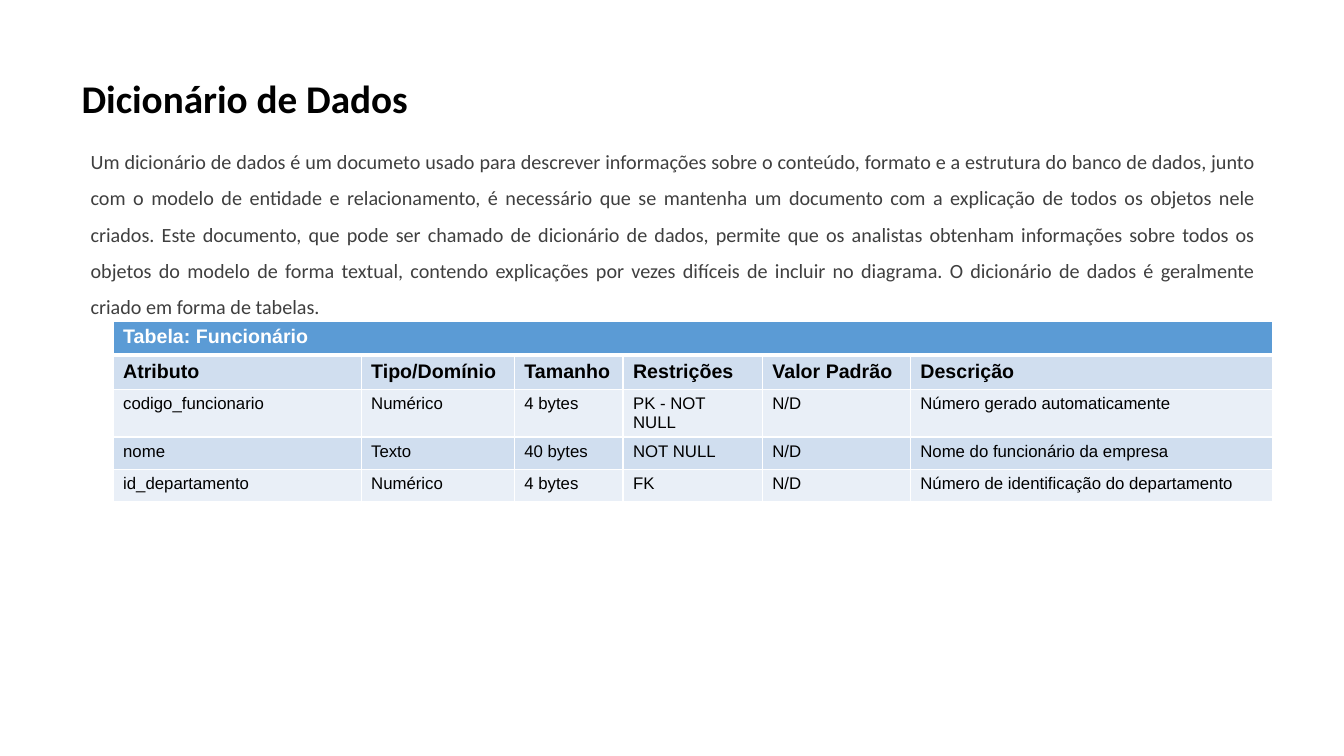
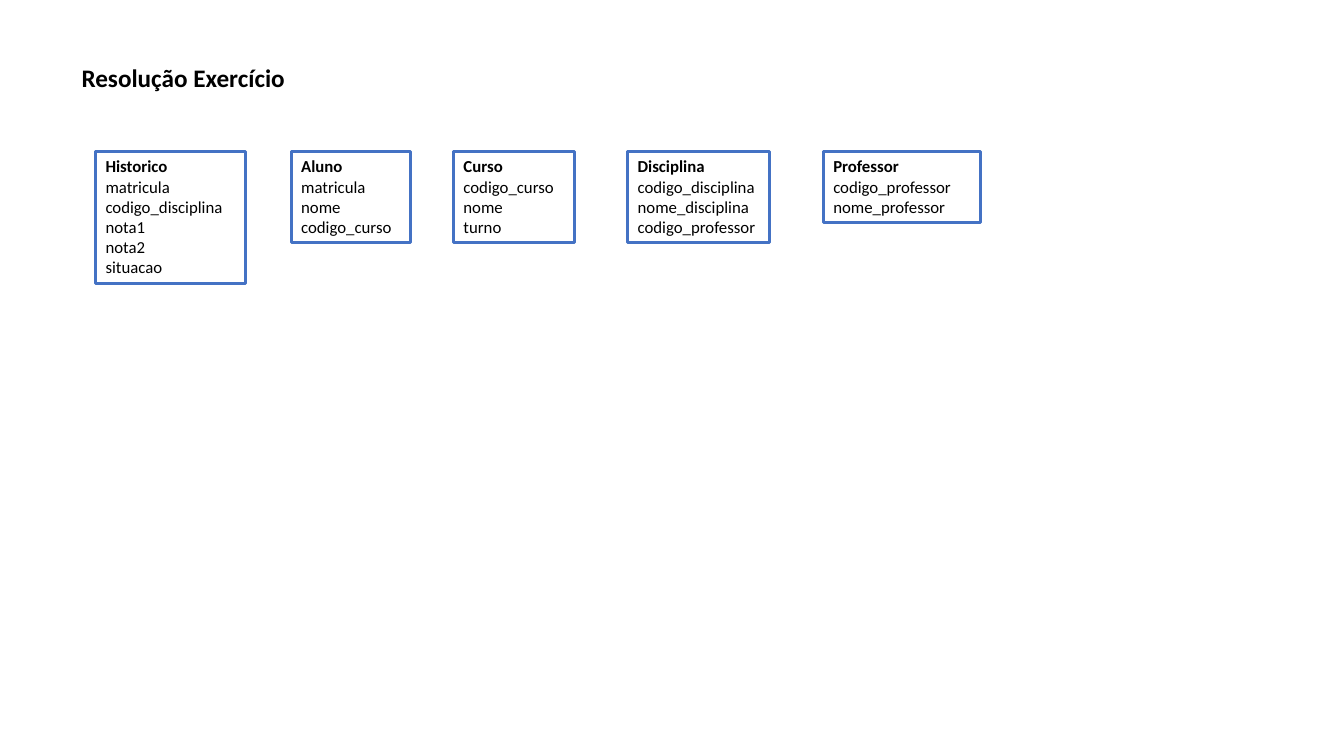
import lxml.etree
import pptx
import pptx.dml.color
import pptx.enum.shapes
import pptx.enum.text
import pptx.oxml.ns
import pptx.util

Cm = pptx.util.Cm
Pt = pptx.util.Pt
RGBColor = pptx.dml.color.RGBColor
Align = pptx.enum.text.PP_ALIGN
Anchor = pptx.enum.text.MSO_ANCHOR
AutoSize = pptx.enum.text.MSO_AUTO_SIZE
qn = pptx.oxml.ns.qn

BLACK = RGBColor(0x00, 0x00, 0x00)
WHITE = RGBColor(0xFF, 0xFF, 0xFF)
GRAY = RGBColor(0x3F, 0x3F, 0x3F)
BOX_BLUE = RGBColor(0x44, 0x72, 0xC4)
HEADER_BLUE = RGBColor(0x5B, 0x9B, 0xD5)
BAND_DARK = RGBColor(0xD0, 0xDE, 0xEF)
BAND_LIGHT = RGBColor(0xE9, 0xEF, 0xF7)

TITLE_AND_BODY = 1
TITLE_ONLY = 5

DESCRIPTION = (
    "Um dicionário de dados é um documeto usado para descrever informações sobre o "
    "conteúdo, formato e a estrutura do banco de dados, junto com o modelo de entidade e "
    "relacionamento, é necessário que se mantenha um documento com a explicação de todos "
    "os objetos nele criados. Este documento, que pode ser chamado de dicionário de dados, "
    "permite que os analistas obtenham informações sobre todos os objetos do modelo de "
    "forma textual, contendo explicações por vezes difíceis de incluir no diagrama. "
    "O dicionário de dados é geralmente criado em forma de tabelas."
)
COLUMN_WIDTHS = [6.25, 3.86, 2.74, 3.51, 3.73, 9.12]
TABLE_ROWS = [
    ["Tabela: Funcionário"],
    ["Atributo", "Tipo/Domínio", "Tamanho", "Restrições", "Valor Padrão", "Descrição"],
    ["codigo_funcionario", "Numérico", "4 bytes", "PK - NOT NULL", "N/D",
     "Número gerado automaticamente"],
    ["nome", "Texto", "40 bytes", "NOT NULL", "N/D", "Nome do funcionário da empresa"],
    ["id_departamento", "Numérico", "4 bytes", "FK", "N/D",
     "Número de identificação do departamento"],
]
ENTITIES = [
    (2.41, 3.78, ["Historico", "matricula", "codigo_disciplina", "nota1", "nota2", "situacao"]),
    (7.34, 3.0, ["Aluno", "matricula", "nome", "codigo_curso"]),
    (11.43, 3.05, ["Curso", "codigo_curso", "nome", "turno"]),
    (15.82, 3.58, ["Disciplina", "codigo_disciplina", "nome_disciplina", "codigo_professor"]),
    (20.75, 3.96, ["Professor", "codigo_professor", "nome_professor"]),
]


def apply_format(target, values):
    for name, value in values.items():
        setattr(target, name, value)


class Deck:
    text_font = "Calibri"
    table_font = "Arial"
    title_left = 1.8
    title_top = 0.71
    box_top = 3.81
    box_padding = 0.27
    line_height = 0.51

    def __init__(self):
        self.presentation = pptx.Presentation()
        apply_format(self.presentation, {"slide_width": Cm(33.87), "slide_height": Cm(19.05)})
        self.slide = None

    def add_slide(self, layout):
        self.slide = self.presentation.slides.add_slide(self.presentation.slide_layouts[layout])

    def place(self, shape, left, top, width, height):
        apply_format(shape, {"left": Cm(left), "top": Cm(top),
                             "width": Cm(width), "height": Cm(height)})

    def add_text(self, paragraph, text, size, color=BLACK, bold=False, font=text_font, **layout):
        run = paragraph.add_run()
        run.text = text
        apply_format(run.font, {"name": font, "size": Pt(size), "bold": bold})
        run.font.color.rgb = color
        apply_format(paragraph, {"alignment": Align.LEFT, "space_before": Pt(0), **layout})

    def title(self, text, size, width, height):
        shape = self.slide.shapes.title
        self.place(shape, self.title_left, self.title_top, width, height)
        apply_format(shape.text_frame, {"vertical_anchor": Anchor.MIDDLE, "word_wrap": True,
                                        "auto_size": AutoSize.NONE})
        self.add_text(shape.text_frame.paragraphs[0], text, size, bold=True, line_spacing=0.9)

    def body(self, text, left, top, width, height):
        shape = self.slide.placeholders[1]
        self.place(shape, left, top, width, height)
        apply_format(shape.text_frame, {"vertical_anchor": Anchor.TOP, "word_wrap": True,
                                        "auto_size": AutoSize.NONE})
        paragraph = shape.text_frame.paragraphs[0]
        self.add_text(paragraph, text, 14.4, GRAY, alignment=Align.JUSTIFY, line_spacing=1.5)
        properties = paragraph._p.get_or_add_pPr()
        properties.set("marL", "0")
        properties.set("indent", "0")
        lxml.etree.SubElement(properties, qn("a:buNone"))

    def cell_borders(self, cell, bottom):
        properties = cell._tc.get_or_add_tcPr()
        for side, width in (("L", 1), ("R", 1), ("T", 1), ("B", bottom)):
            line = lxml.etree.SubElement(properties, qn("a:ln" + side), w=str(Pt(width)))
            fill = lxml.etree.SubElement(line, qn("a:solidFill"))
            lxml.etree.SubElement(fill, qn("a:srgbClr"), val=str(WHITE))

    def table(self, rows, widths, left, top):
        heights = [0.86 if index < 2 else 0.81 for index in range(len(rows))]
        table = self.slide.shapes.add_table(
            len(rows), len(widths), Cm(left), Cm(top), Cm(sum(widths)), Cm(sum(heights))).table
        for column, width in zip(table.columns, widths):
            column.width = Cm(width)
        for row_index, texts in enumerate(rows):
            table.rows[row_index].height = Cm(heights[row_index])
            is_header = row_index == 0
            band = BAND_DARK if row_index % 2 else BAND_LIGHT
            for column_index in range(len(widths)):
                cell = table.cell(row_index, column_index)
                self.cell_borders(cell, 3 if is_header else 1)
                cell.fill.solid()
                cell.fill.fore_color.rgb = HEADER_BLUE if is_header else band
                if column_index < len(texts):
                    self.add_text(cell.text_frame.paragraphs[0], texts[column_index],
                                  14 if row_index < 2 else 12, WHITE if is_header else BLACK,
                                  row_index < 2, self.table_font)
        table.cell(0, 0).merge(table.cell(0, len(widths) - 1))

    def entity(self, left, width, lines):
        shape = self.slide.shapes.add_shape(
            pptx.enum.shapes.MSO_SHAPE.RECTANGLE, Cm(left), Cm(self.box_top), Cm(width),
            Cm(self.box_padding + self.line_height * len(lines)))
        shape.shadow.inherit = False
        shape.fill.solid()
        shape.fill.fore_color.rgb = WHITE
        shape.line.color.rgb = BOX_BLUE
        shape.line.width = Pt(2.25)
        frame = shape.text_frame
        apply_format(frame, {"vertical_anchor": Anchor.TOP, "word_wrap": True,
                             "auto_size": AutoSize.SHAPE_TO_FIT_TEXT})
        for index, text in enumerate(lines):
            paragraph = frame.add_paragraph() if index else frame.paragraphs[0]
            self.add_text(paragraph, text, 12, bold=index == 0)


def main():
    deck = Deck()

    deck.add_slide(TITLE_AND_BODY)
    deck.title("Dicionário de Dados", 28, 29.21, 3.68)
    deck.body(DESCRIPTION, 2.03, 3.33, 29.87, 4.29)
    deck.table(TABLE_ROWS, COLUMN_WIDTHS, 2.85, 8.09)

    deck.add_slide(TITLE_ONLY)
    deck.title("Resolução Exercício", 18, 8.3, 2.57)
    for left, width, lines in ENTITIES:
        deck.entity(left, width, lines)

    deck.presentation.save("out.pptx")


if __name__ == "__main__":
    main()
